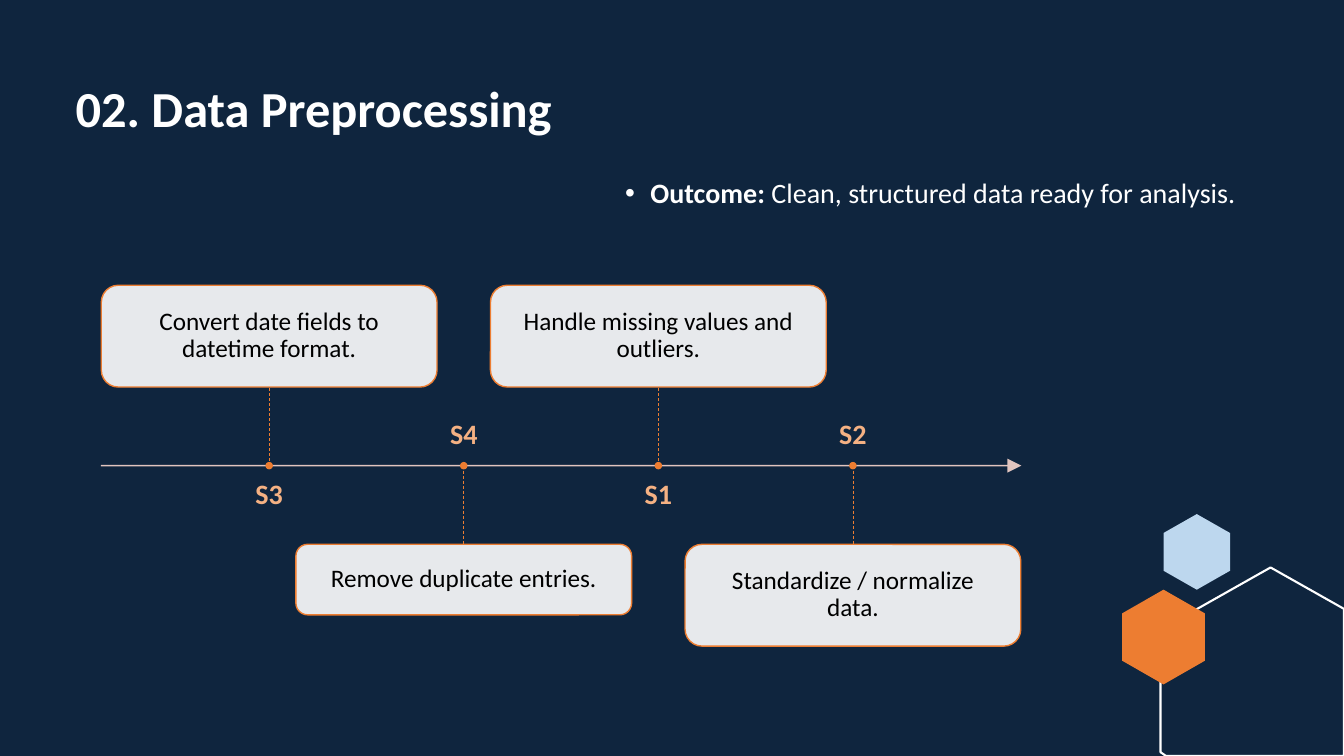
from lxml.etree import SubElement
from pptx import Presentation
from pptx.dml.color import RGBColor
from pptx.enum.dml import MSO_LINE
from pptx.enum.shapes import MSO_CONNECTOR, MSO_SHAPE
from pptx.enum.text import MSO_ANCHOR, MSO_AUTO_SIZE, PP_ALIGN
from pptx.oxml.ns import qn
from pptx.util import Inches, Pt

NAVY, WHITE, BLACK = "0F253E", "FFFFFF", "000000"
ORANGE, PEACH, BLUSH, SKY = "ED7D31", "F4B183", "F8D7CE", "BDD7EE"
STEPS = [
    ("S3", "Convert date fields to datetime format.", 1.01),
    ("S4", "Remove duplicate entries.", 0.7),
    ("S1", "Handle missing values and outliers.", 1.01),
    ("S2", "Standardize / normalize data.", 1.01),
]
HEXAGON = [(0.5, 0), (1, 0.25), (1, 0.75), (0.5, 1), (0, 0.75), (0, 0.25)]
HOUSE = [(0.6, 0), (1, 0.22), (1, 1), (0.03, 1), (0, 0.98), (0, 0.33)]


def inches(*lengths):
    return [Inches(length) for length in lengths]


def paint(color_format, color, alpha=None):
    color_format.rgb = RGBColor.from_string(color)
    if alpha:
        srgb = color_format._xFill.find(qn("a:srgbClr"))
        SubElement(srgb, qn("a:alpha"), val=str(alpha * 1000))


def fill(target, color, alpha=None):
    target.fill.solid()
    paint(target.fill.fore_color, color, alpha)


def outline(target, color, width, alpha=None):
    target.line.width = Pt(width)
    target.line.fill.solid()
    paint(target.line.fill.fore_color, color, alpha)


def write(holder, runs, size, color, inset=None, align=None, anchor=MSO_ANCHOR.TOP):
    """Fill holder with one paragraph made of (text, bold) runs."""
    frame = holder.text_frame
    layout = {"word_wrap": True, "auto_size": MSO_AUTO_SIZE.NONE, "vertical_anchor": anchor}
    if inset is not None:
        layout |= {f"margin_{side}": Inches(inset) for side in ("left", "top", "right", "bottom")}
    for name, value in layout.items():
        setattr(frame, name, value)
    paragraph = frame.paragraphs[0]
    for name, value in {"alignment": align, "line_spacing": 0.9, "space_before": Pt(0)}.items():
        setattr(paragraph, name, value)
    for text, bold in runs:
        run = paragraph.add_run()
        run.text = text
        for name, value in {"name": "Calibri", "size": Pt(size), "bold": bold}.items():
            setattr(run.font, name, value)
        paint(run.font.color, color)
    return paragraph


def place(placeholder, box):
    for name, value in zip(("left", "top", "width", "height"), inches(*box)):
        setattr(placeholder, name, value)


def add_heading(slide, title_box, outcome_box):
    title, outcome = slide.shapes.title, slide.placeholders[1]
    place(title, title_box)
    write(title, [("02. Data Preprocessing", True)], 36, WHITE, align=PP_ALIGN.LEFT)
    place(outcome, outcome_box)
    paragraph = write(outcome, [("Outcome: ", True),
                                ("Clean, structured data ready for analysis.", False)], 20, WHITE)
    properties = paragraph._p.get_or_add_pPr()
    properties.set("marL", str(Inches(0.25)))
    properties.set("indent", str(-Inches(0.25)))
    SubElement(properties, qn("a:buFont"), typeface="Arial")
    SubElement(properties, qn("a:buChar"), char="•")


def add_polygon(slide, shares, left, top, width, height):
    """Draw a closed outline whose corners are shares of the given box."""
    corners = [inches(left + x * width, top + y * height) for x, y in shares]
    builder = slide.shapes.build_freeform(*corners[0])
    builder.add_line_segments(corners[1:], close=True)
    polygon = builder.convert_to_shape()
    polygon.shadow.inherit = False
    return polygon


def add_hexagons(slide, left, top):
    """Decorate the corner between (left, top) and the slide's bottom right."""
    sky = add_polygon(slide, HEXAGON, left + 0.41, top, 0.66, 0.75)
    house = add_polygon(slide, HOUSE, left + 0.38, top + 0.53, 1.82, 1.87)
    orange = add_polygon(slide, HEXAGON, left, top + 0.75, 0.82, 0.94)
    for hexagon, color in ((sky, SKY), (orange, ORANGE)):
        fill(hexagon, color)
        hexagon.line.fill.background()
    house.fill.background()
    outline(house, WHITE, 1.5)


def add_line(slide, start, end, color, width, alpha=None):
    line = slide.shapes.add_connector(MSO_CONNECTOR.STRAIGHT, *inches(*start, *end))
    outline(line, color, width, alpha)
    SubElement(line._element.spPr, qn("a:effectLst"))
    return line


def add_step(slide, label, text, x, axis, height, above):
    """Hang one card and its label on opposite sides of the axis at x."""
    card_width, stem, label_width, label_height, label_gap = 3.33, 0.78, 2.93, 0.47, 0.15
    side = -1 if above else 1
    card_edge = axis + side * stem
    add_line(slide, (x, axis), (x, card_edge), ORANGE, 0.5).line.dash_style = MSO_LINE.DASH

    card_top = card_edge - height if above else card_edge
    card = slide.shapes.add_shape(MSO_SHAPE.ROUNDED_RECTANGLE,
                                  *inches(x - card_width / 2, card_top, card_width, height))
    card.shadow.inherit = False
    fill(card, WHITE, 90)
    outline(card, ORANGE, 1)
    write(card, [(text, False)], 18, BLACK, 0.17, PP_ALIGN.CENTER, MSO_ANCHOR.MIDDLE)

    label_top = axis + label_gap if above else axis - label_gap - label_height
    caption = slide.shapes.add_textbox(
        *inches(x - label_width / 2, label_top, label_width, label_height))
    write(caption, [(label, True)], 20, PEACH, 0, PP_ALIGN.CENTER,
          MSO_ANCHOR.TOP if above else MSO_ANCHOR.BOTTOM)

    dot = slide.shapes.add_shape(MSO_SHAPE.OVAL, *inches(x - 0.03, axis - 0.03, 0.06, 0.06))
    dot.shadow.inherit = False
    fill(dot, ORANGE)
    outline(dot, ORANGE, 1)


def add_timeline(slide, left, axis, width):
    first_stop, pitch = left + 1.67, 1.93
    arrow = add_line(slide, (left, axis), (left + width, axis), BLUSH, 1, 90)
    SubElement(arrow.line._get_or_add_ln(), qn("a:tailEnd"), type="triangle", w="lg", len="lg")
    for index, (label, text, height) in enumerate(STEPS):
        add_step(slide, label, text, first_stop + index * pitch, axis, height, index % 2 == 0)


def main():
    deck = Presentation()
    deck.slide_width, deck.slide_height = inches(13.33, 7.5)
    slide = deck.slides.add_slide(deck.slide_layouts[1])
    fill(slide.background, NAVY)
    add_hexagons(slide, 11.13, 5.1)
    add_heading(slide, (0.65, 0.78, 5.1, 1.9), (6.1, 1.73, 6.3, 0.97))
    add_timeline(slide, 1, 4.62, 9.13)
    deck.save("out.pptx")


if __name__ == "__main__":
    main()
